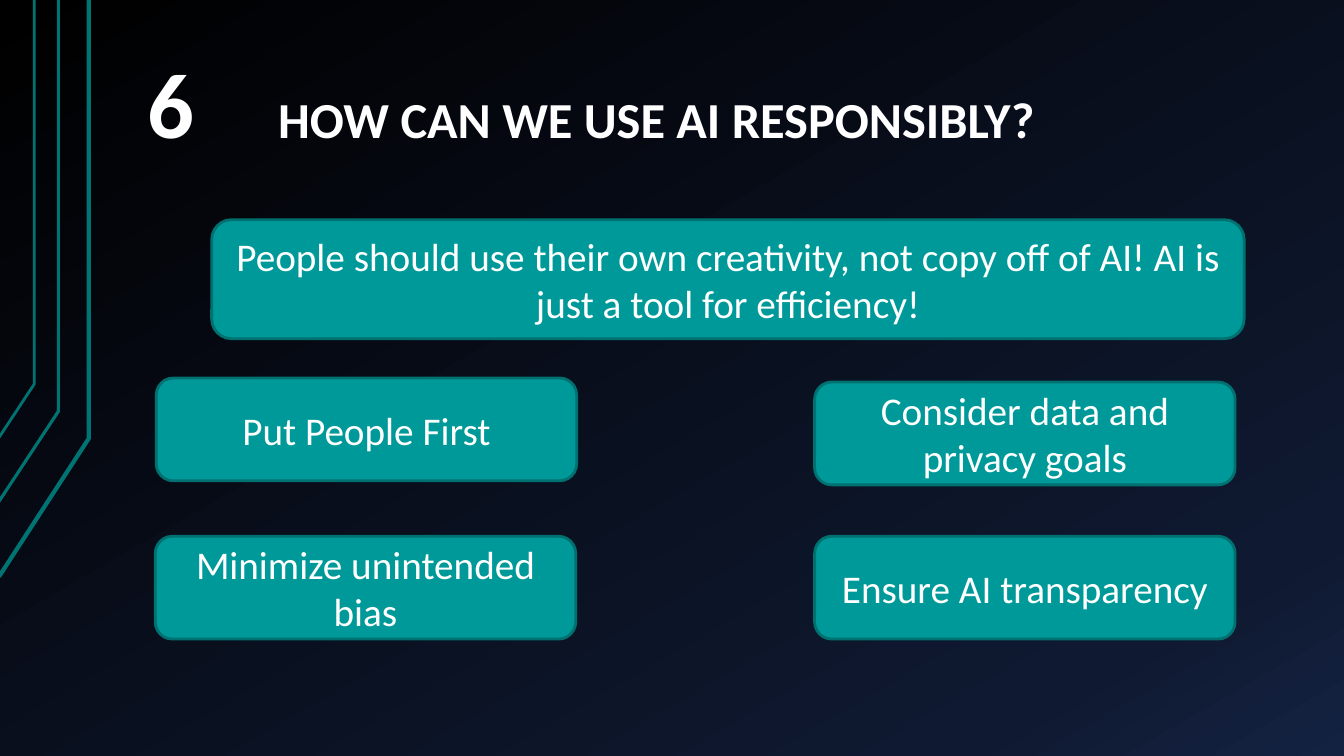
import copy
import dataclasses

import pptx
import pptx.dml.color
import pptx.enum.shapes
import pptx.enum.text
import pptx.oxml
import pptx.oxml.ns
import pptx.util

PX = 9144
ANCHOR = pptx.enum.text.MSO_ANCHOR
ALIGN = pptx.enum.text.PP_ALIGN


@dataclasses.dataclass(frozen=True)
class Theme:
    """Colours, font and sizes of the deck."""
    font: str = "Calibri"
    white: str = "FFFFFF"
    card: str = "009999"
    edge: str = "007171"
    rail: str = "007373"
    back: tuple = ((0, "000000"), (0.85, "0F1931"), (1, "142242"))
    number: int = 66
    title: int = 36
    body: int = 28


THEME = Theme()


def rgb(code):
    """Turn a hex code into a colour."""
    return pptx.dml.color.RGBColor.from_string(code)


def emu(*px):
    """Turn px lengths into EMU."""
    return [pptx.util.Emu(n * PX) for n in px]


def write(para, text, size=THEME.body, bold=False, color=THEME.white):
    """Add a formatted run to a paragraph."""
    run = para.add_run()
    run.text = text
    font = run.font
    font.name, font.size, font.bold = THEME.font, pptx.util.Pt(size), bold
    font.color.rgb = rgb(color)


def paint(slide):
    """Fill the background with the theme gradient."""
    fill = slide.background.fill
    fill.gradient()
    fill.gradient_angle = 300
    stops = slide.element.xpath(".//a:gsLst")[0]
    stops.append(copy.deepcopy(stops[-1]))
    for stop, (place, code) in zip(fill.gradient_stops, THEME.back):
        stop.position = place
        stop.color.rgb = rgb(code)


def rails(slide, left, top):
    """Draw the three bent lines at the left edge."""
    group = slide.shapes.add_group_shape()
    for start, foot, side, bend, width in (
        (-1, 572, 88, 435, 3),
        (-2, 499, 58, 408, 2.25),
        (-1, 434, 34, 381, 2),
    ):
        path = group.shapes.build_freeform(left + start, top + foot, scale=float(PX))
        path.add_line_segments([(left + side, top + bend), (left + side, top)], close=False)
        rail = path.convert_to_shape()
        rail.shadow.inherit = False
        rail.fill.background()
        rail.line.color.rgb = rgb(THEME.rail)
        rail.line.width = pptx.util.Pt(width)


def heading(slide, number, title, box):
    """Set the number and title on one line with a tab between."""
    frame = slide.shapes.add_textbox(*emu(*box)).text_frame
    frame.word_wrap = True
    frame.vertical_anchor = ANCHOR.BOTTOM
    frame.margin_left, frame.margin_top = emu(13, 7)
    frame.margin_right, frame.margin_bottom = emu(13, 7)
    para = frame.paragraphs[0]
    para.line_spacing = 0.9
    tabs = pptx.oxml.parse_xml(
        f'<a:tabLst {pptx.oxml.ns.nsdecls("a")}><a:tab pos="{130 * PX}" algn="l"/></a:tabLst>'
    )
    write(para, number, size=THEME.number, bold=True)
    write(para, "\t", size=THEME.title)
    write(para, title, size=THEME.title, bold=True)
    para._p.get_or_add_pPr().append(tabs)


def card(slide, text, box):
    """Place a rounded card with centred text."""
    shape = slide.shapes.add_shape(
        pptx.enum.shapes.MSO_SHAPE.ROUNDED_RECTANGLE, *emu(*box)
    )
    shape.shadow.inherit = False
    shape.fill.solid()
    shape.fill.fore_color.rgb = rgb(THEME.card)
    shape.line.color.rgb = rgb(THEME.edge)
    shape.line.width = pptx.util.Pt(2)
    frame = shape.text_frame
    frame.word_wrap = True
    frame.vertical_anchor = ANCHOR.MIDDLE
    para = frame.paragraphs[0]
    para.alignment = ALIGN.CENTER
    write(para, text)


def advice(slide, left, top):
    """Lay out the main message and the four tips below it."""
    card(
        slide,
        "People should use their own creativity, not copy off of AI! "
        "AI is just a tool for efficiency!",
        (left + 56, top, 1024, 118),
    )
    for text, dx, dy in (
        ("Put People First", 1, 157),
        ("Ensure AI transparency", 654, 314),
        ("Minimize unintended bias", 0, 314),
        ("Consider data and privacy goals", 654, 161),
    ):
        card(slide, text, (left + dx, top + dy, 417, 102))


def main():
    """Build and save the deck."""
    deck = pptx.Presentation()
    deck.slide_width, deck.slide_height = emu(1333, 750)
    slide = deck.slides.add_slide(deck.slide_layouts[6])
    paint(slide)
    rails(slide, 0, 0)
    heading(slide, "6", "HOW CAN WE USE AI RESPONSIBLY?", (133, 30, 1133, 134))
    advice(slide, 154, 218)
    deck.save("out.pptx")


if __name__ == "__main__":
    main()
